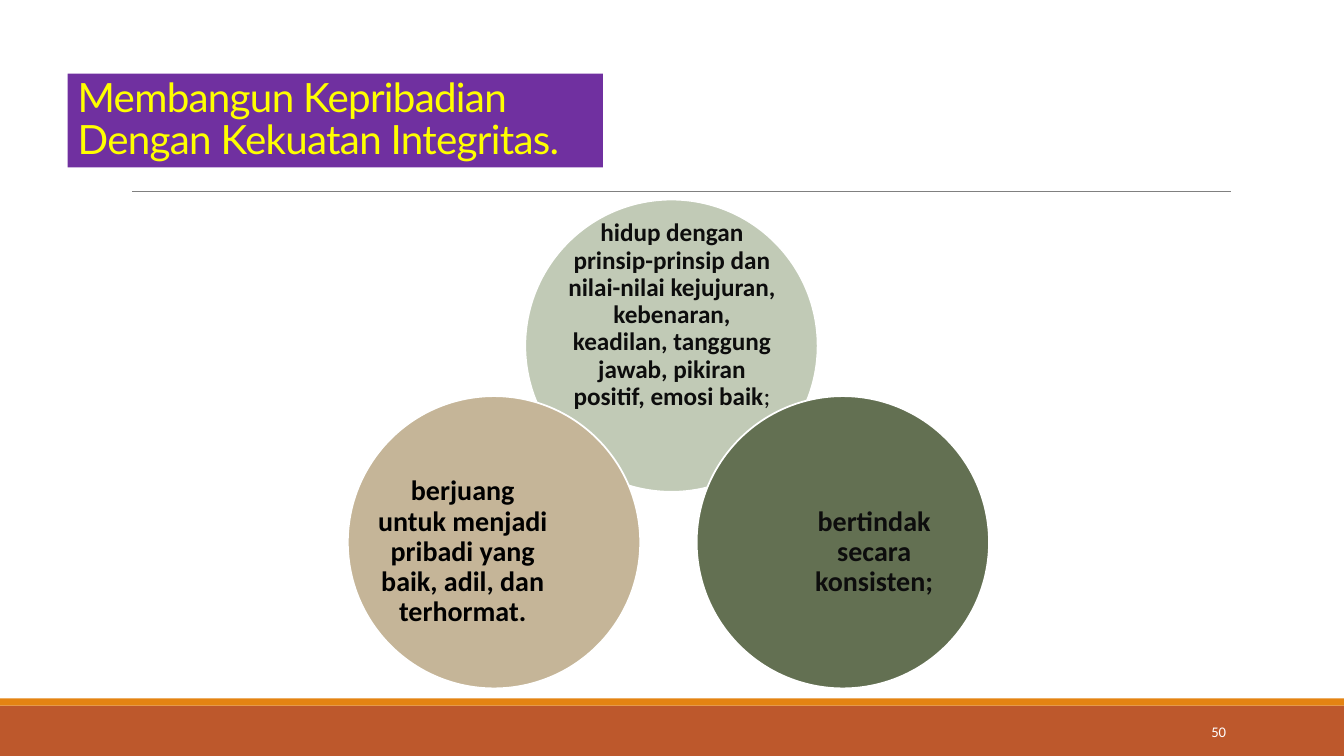
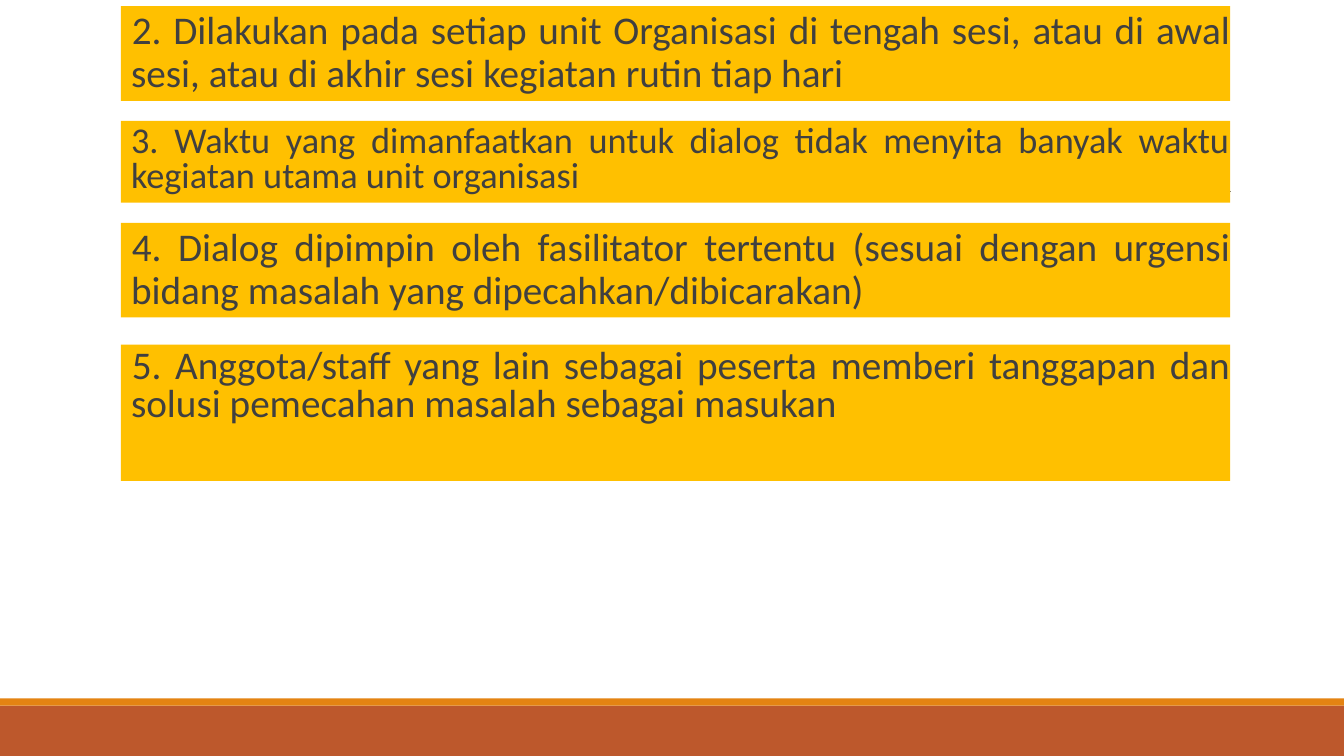
import pptx
import pptx.dml.color
import pptx.enum.shapes
import pptx.enum.text
import pptx.oxml.ns
import pptx.util
import lxml.etree

Inches = pptx.util.Inches
Pt = pptx.util.Pt
Align = pptx.enum.text.PP_ALIGN
Anchor = pptx.enum.text.MSO_ANCHOR
Shape = pptx.enum.shapes.MSO_SHAPE

WHITE = "FFFFFF"
INK = "0D0D0D"
ORANGE = "E48312"
TITLE_ONLY = 5
COMPARISON = 4


def rgb(value):
    return pptx.dml.color.RGBColor.from_string(value)


def drawing_tag(name):
    return pptx.oxml.ns.qn("a:" + name)


class Deck:
    body_font = "Calibri"
    title_font = "Lato"

    def __init__(self):
        self.presentation = pptx.Presentation()
        self.presentation.slide_width = Inches(13.33)
        self.presentation.slide_height = Inches(7.5)
        self.slide = None

    def open_slide(self, layout):
        layouts = self.presentation.slide_layouts
        self.slide = self.presentation.slides.add_slide(layouts[layout])

    def decorate_master(self):
        rule = self.rule(1.31, 12.21, 1.9)
        accent = self.shape(Shape.RECTANGLE, (0, 6.93, 13.33, 0.07), ORANGE)
        footer = self.shape(Shape.RECTANGLE, (0, 7, 13.33, 0.5), "BD582C")
        master_tree = self.presentation.slide_master.shapes.element
        for number, part in enumerate((rule, accent, footer), 20):
            part.element.xpath(".//p:cNvPr")[0].set("id", str(number))
            master_tree.insert(2, part.element)

    def rule(self, left, right, top):
        line = self.slide.shapes.add_connector(
            pptx.enum.shapes.MSO_CONNECTOR.STRAIGHT,
            Inches(left), Inches(top), Inches(right), Inches(top))
        line.line.color.rgb = rgb("808080")
        line.line.width = Pt(0.5)
        properties = line.element.xpath("./p:spPr")[0]
        lxml.etree.SubElement(properties, drawing_tag("effectLst"))
        return line

    def shape(self, kind, box, fill, outline=None):
        shape = self.slide.shapes.add_shape(kind, *map(Inches, box))
        shape.shadow.inherit = False
        self.fill(shape, fill)
        if outline:
            shape.line.color.rgb = rgb(outline)
            shape.line.width = Pt(1.25)
        else:
            shape.line.fill.background()
        return shape

    def fill(self, shape, colour):
        shape.fill.solid()
        shape.fill.fore_color.rgb = rgb(colour)

    def place(self, shape, box):
        shape.left, shape.top, shape.width, shape.height = map(Inches, box)

    def style_run(self, run, size, colour, bold=False, font=None):
        run.font.name = font or self.body_font
        run.font.size = Pt(size)
        run.font.bold = bold
        run.font.color.rgb = rgb(colour)

    def set_text(self, shape, text, size, colour, align, anchor,
                 spacing=1.0, bold=False, font=None, insets=(0.1, 0.05)):
        frame = shape.text_frame
        frame.text = text
        frame.word_wrap = True
        frame.auto_size = pptx.enum.text.MSO_AUTO_SIZE.NONE
        frame.vertical_anchor = anchor
        frame.margin_left = frame.margin_right = Inches(insets[0])
        frame.margin_top = frame.margin_bottom = Inches(insets[1])
        paragraph = frame.paragraphs[0]
        paragraph.alignment = align
        paragraph.line_spacing = spacing
        for run in paragraph.runs:
            self.style_run(run, size, colour, bold, font)
        return paragraph

    def title(self, text, box):
        title = self.slide.shapes.title
        self.place(title, box)
        self.fill(title, "7030A0")
        self.set_text(title, text, 28.8, "FFFF00", Align.LEFT,
                      Anchor.BOTTOM, 0.85, font=self.title_font)
        for properties in title.element.xpath(".//a:rPr"):
            properties.set("spc", "-50")

    def text(self, text, box, size, colour, align, **style):
        label = self.slide.shapes.add_textbox(*map(Inches, box))
        return self.set_text(label, text, size, colour, align, Anchor.MIDDLE, **style)

    def circle(self, left, top, fill):
        self.shape(Shape.OVAL, (left, top, 2.9, 2.9), fill, WHITE)

    def circle_text(self, text, box, size, colour):
        return self.text(text, box, size, colour, Align.CENTER,
                         spacing=0.9, bold=True, insets=(0, 0))

    def list_item(self, placeholder, text, top, height, size, spacing):
        self.place(placeholder, (1.2, top, 11, height))
        self.fill(placeholder, "FFC000")
        paragraph = self.set_text(placeholder, text, size, "404040", Align.JUSTIFY,
                                  Anchor.TOP, spacing, insets=(0, 0.05))
        paragraph.space_before = Pt(12)
        paragraph.space_after = Pt(2)
        properties = placeholder.element.xpath(".//a:pPr")[0]
        properties.set("marL", str(Inches(0.1)))
        properties.set("indent", str(-Inches(0.1)))
        bullet_colour = lxml.etree.SubElement(properties, drawing_tag("buClr"))
        lxml.etree.SubElement(bullet_colour, drawing_tag("srgbClr"), val=ORANGE)
        lxml.etree.SubElement(properties, drawing_tag("buChar"), char=" ")

    def remove_title(self):
        title = self.slide.shapes.title.element
        title.getparent().remove(title)


def build_integrity(deck):
    deck.title("Membangun Kepribadian\vDengan Kekuatan Integritas.",
               (0.67, 0.73, 5.31, 0.93))
    deck.circle(5.21, 1.98, "C1CAB6")
    principles = deck.circle_text(
        "hidup dengan prinsip-prinsip dan nilai-nilai kejujuran, kebenaran, "
        "keadilan, tanggung jawab, pikiran positif, emosi baik",
        (5.6, 2.48, 2.13, 1.3), 18, INK)
    semicolon = principles.add_run()
    semicolon.text = ";"
    deck.style_run(semicolon, 18, INK)
    values = (
        (6.91, "637052", 7.8, INK, "bertindak secara konsisten;"),
        (3.45, "C5B598", 3.72, "000000",
         "berjuang untuk menjadi pribadi yang baik, adil, dan terhormat."),
    )
    for circle_left, fill, text_left, colour, text in values:
        deck.circle(circle_left, 3.93, fill)
        deck.circle_text(text, (text_left, 4.68, 1.74, 1.6), 20, colour)
    deck.text("50", (10.83, 7.06, 1.43, 0.4), 10.5, WHITE, Align.RIGHT)


def build_dialogue(deck):
    deck.remove_title()
    rules = (
        ("2. Dilakukan pada setiap unit Organisasi di tengah sesi, atau di awal "
         "sesi, atau di akhir sesi kegiatan rutin tiap hari", 0.06, 0.94, 28, 0.9),
        ("3. Waktu yang dimanfaatkan untuk dialog tidak menyita banyak waktu "
         "kegiatan utama unit organisasi", 1.2, 0.81, 25.9, 0.8),
        ("4. Dialog dipimpin oleh fasilitator tertentu (sesuai dengan urgensi "
         "bidang masalah yang dipecahkan/dibicarakan)", 2.21, 0.94, 28, 0.9),
        ("5. Anggota/staff yang lain sebagai peserta memberi tanggapan dan "
         "solusi pemecahan masalah sebagai masukan", 3.42, 1.35, 28, 0.8),
    )
    for placeholder, rule in zip(deck.slide.placeholders, rules):
        deck.list_item(placeholder, *rule)


def main():
    deck = Deck()
    deck.open_slide(TITLE_ONLY)
    deck.decorate_master()
    build_integrity(deck)
    deck.open_slide(COMPARISON)
    build_dialogue(deck)
    deck.presentation.save("out.pptx")


if __name__ == "__main__":
    main()
